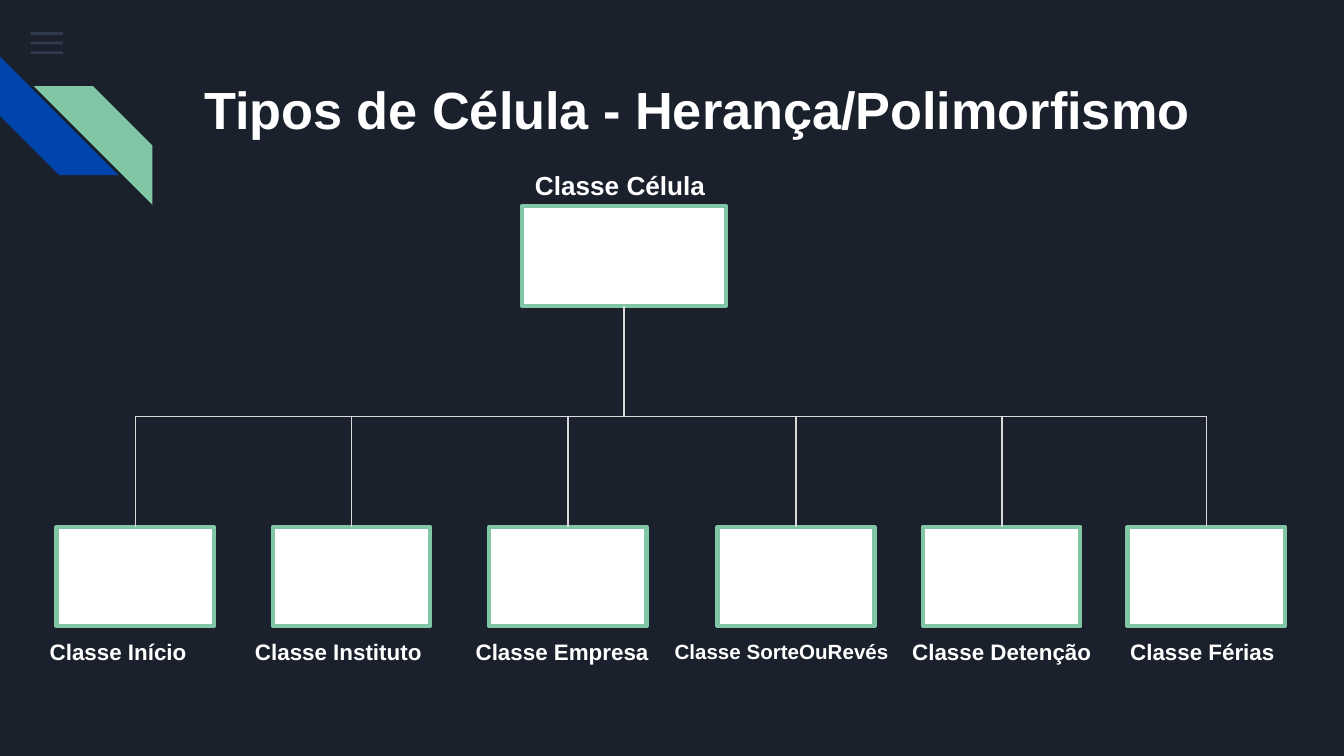
"""Builds a class hierarchy slide: one base cell class and its six subclasses."""
from lxml import etree
from pptx import Presentation
from pptx import util as u
from pptx.dml.color import RGBColor
from pptx.enum import shapes as sh, text as tx
from pptx.oxml import ns

NAVY = RGBColor(0x1B, 0x21, 0x2C)
SLATE = RGBColor(0x55, 0x68, 0x8B)
BLUE = RGBColor(0x01, 0x45, 0xAC)
GREEN = RGBColor(0x82, 0xC7, 0xA5)
WHITE = RGBColor(0xFF, 0xFF, 0xFF)
GREY = RGBColor(0xD9, 0xD9, 0xD9)

TITLE = "Tipos de Célula - Herança/Polimorfismo"
BASE = ("Classe Célula", 14, (9.86, 2.95, 4.17, 1.12), (9.86, 3.9, 3.86, 1.88))
KIDS = [
    ("Classe Início", 12, 1.07, 0.69, 4.17),
    ("Classe Instituto", 12, 5.16, 4.57, 4.55),
    ("Classe Empresa", 12, 9.25, 8.74, 4.37),
    ("Classe SorteOuRevés", 11, 13.56, 12.5, 4.72),
    ("Classe Detenção", 12, 17.45, 16.99, 4.72),
    ("Classe Férias", 12, 21.31, 21.11, 4.17),
]
STRAIGHT = "Classe Instituto"
ROW, WIDE, HIGH = 9.96, 2.97, 1.88
KIND = sh.MSO_SHAPE
LINK = sh.MSO_CONNECTOR


def place(item, spot):
    item.left, item.top, item.width, item.height = map(u.Cm, spot)


def draw(slide, kind, spot, fill, line=None):
    item = slide.shapes.add_shape(kind, *map(u.Cm, spot))
    item.shadow.inherit = False
    item.fill.solid()
    item.fill.fore_color.rgb = fill
    if line is None:
        item.line.fill.background()
    else:
        item.line.color.rgb = line
        item.line.width = u.Pt(2.25)
    return item


def write(item, words, size):
    frame = item.text_frame
    frame.word_wrap = True
    frame.auto_size = tx.MSO_AUTO_SIZE.NONE
    frame.vertical_anchor = tx.MSO_ANCHOR.TOP
    for side in ("left", "top", "right", "bottom"):
        setattr(frame, "margin_" + side, u.Cm(0.25))
    frame.text = words
    para = frame.paragraphs[0]
    para.alignment = tx.PP_ALIGN.LEFT
    font = para.font
    font.name, font.size, font.bold = "Arial", u.Pt(size), True
    font.color.rgb = WHITE
    return para


def label(slide, words, size, spot):
    write(slide.shapes.add_textbox(*map(u.Cm, spot)), words, size)


def link(slide, kind):
    wire = slide.shapes.add_connector(kind, 0, 0, 0, 0)
    wire.line.color.rgb = GREY
    wire.line.width = u.Pt(0.75)
    etree.SubElement(wire.element.spPr, ns.qn("a:effectLst"))
    return wire


def elbow(slide, top, box):
    wire = link(slide, LINK.ELBOW)
    wire.begin_connect(top, 2)
    wire.end_connect(box, 0)
    x1, y1 = top.left + top.width // 2, top.top + top.height
    x2, y2 = box.left + box.width // 2, box.top
    drop, span = y2 - y1, abs(x2 - x1)
    wire.left = (x1 + x2 - drop) // 2
    wire.top = (y1 + y2 - span) // 2
    wire.width, wire.height = drop, span
    right = x2 > x1
    form = wire.element.spPr.find(ns.qn("a:xfrm"))
    form.set("rot", str((270 if right else 90) * 60000))
    form.set("flipH", "1" if right else "0")
    form.set("flipV", "0")


def branch(slide, top, box):
    wire = link(slide, LINK.STRAIGHT)
    wire.begin_connect(box, 0)
    wire.end_x = box.left + box.width // 2
    wire.end_y = (top.top + top.height + box.top) // 2


def decor(slide):
    for i in range(3):
        bar = draw(slide, KIND.RECTANGLE, (0.58, 0.61 + 0.18 * i, 0.61, 0.05), SLATE)
        tint = bar.element.spPr.find(".//" + ns.qn("a:srgbClr"))
        etree.SubElement(tint, ns.qn("a:alpha")).set("val", "36000")
    blue = draw(slide, KIND.DIAGONAL_STRIPE, (0, 1.07, 2.24, 2.24), BLUE)
    blue.rotation = 270
    green = draw(slide, KIND.DIAGONAL_STRIPE, (0.64, 1.63, 2.24, 2.24), GREEN)
    green.element.spPr.find(ns.qn("a:xfrm")).set("flipH", "1")


def main():
    deck = Presentation()
    deck.slide_width, deck.slide_height = u.Cm(25.4), u.Cm(14.29)
    slide = deck.slides.add_slide(deck.slide_layouts[5])
    slide.background.fill.solid()
    slide.background.fill.fore_color.rgb = NAVY
    decor(slide)

    head = slide.shapes.title
    place(head, (3.61, 1.09, 20.68, 2.18))
    write(head, TITLE, 28).line_spacing = 1.1

    words, size, spot, frame = BASE
    top = draw(slide, KIND.RECTANGLE, frame, WHITE, GREEN)
    label(slide, words, size, spot)
    for words, size, left, start, width in KIDS:
        box = draw(slide, KIND.RECTANGLE, (left, ROW, WIDE, HIGH), WHITE, GREEN)
        join = branch if words == STRAIGHT else elbow
        join(slide, top, box)
        label(slide, words, size, (start, ROW + HIGH - 0.02, width, 1.02))
    deck.save("out.pptx")


if __name__ == "__main__":
    main()
